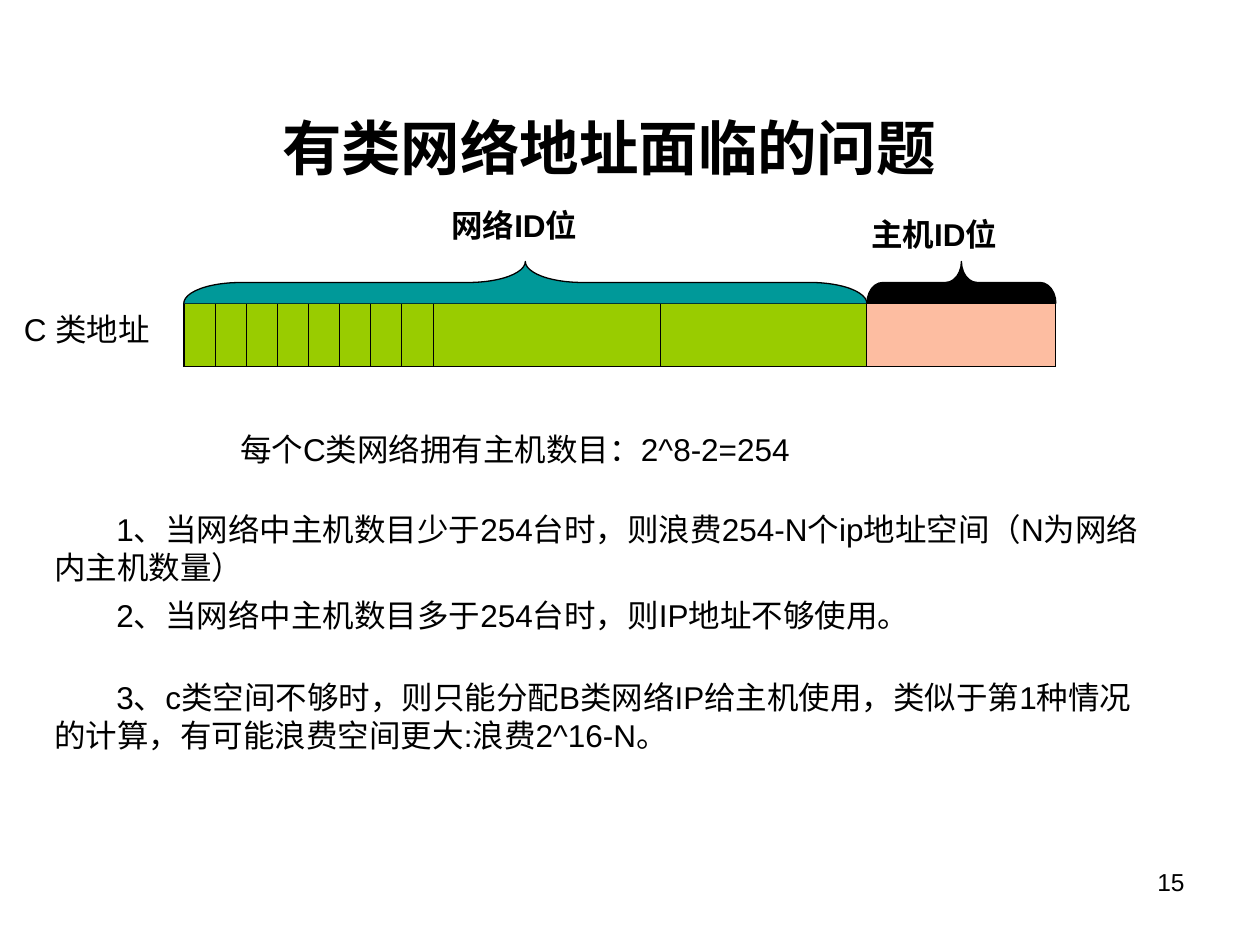
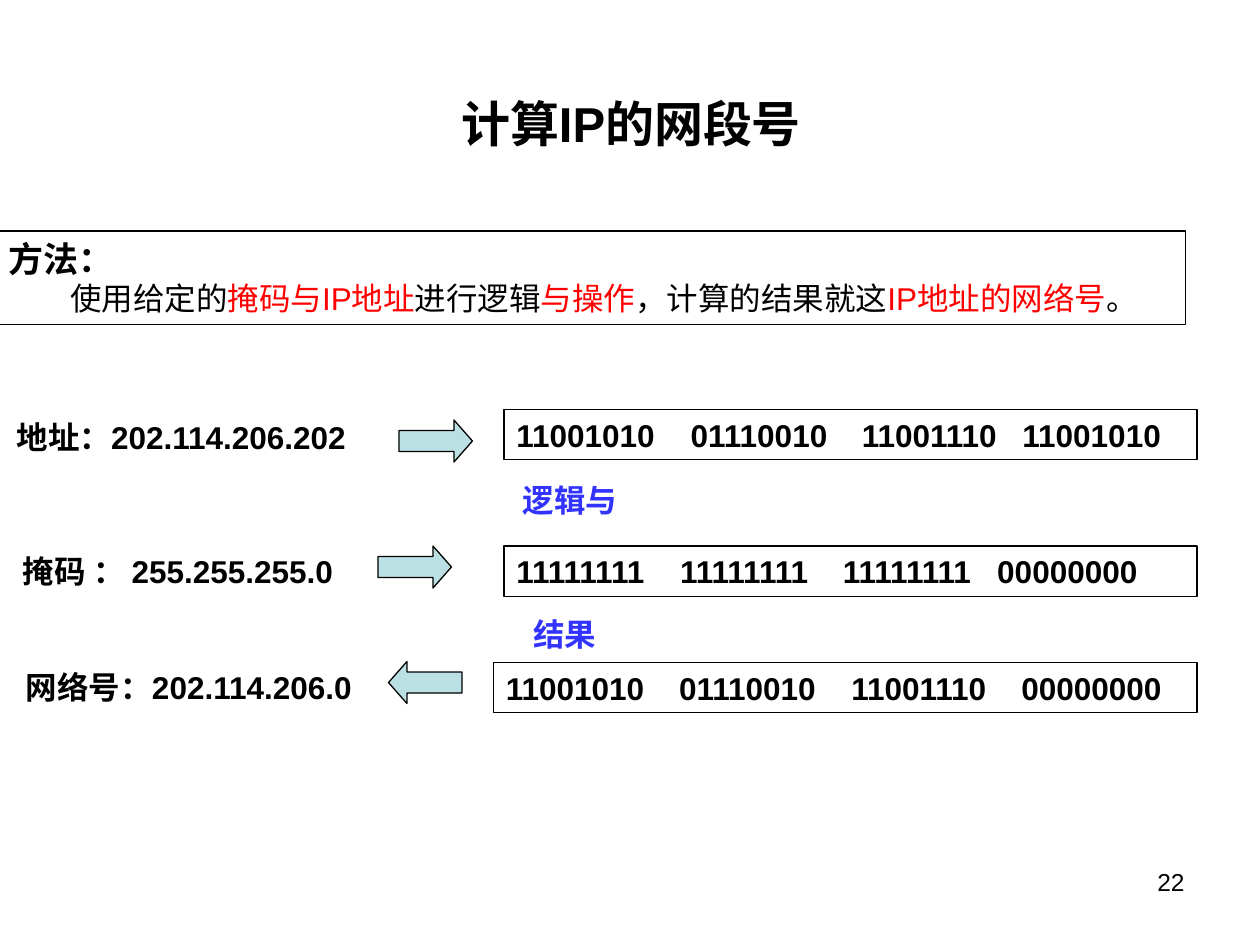
from lxml.etree import SubElement
from pptx import Presentation
from pptx.dml.color import RGBColor
from pptx.enum.shapes import MSO_SHAPE
from pptx.enum.text import MSO_ANCHOR, PP_ALIGN
from pptx.oxml import parse_xml
from pptx.oxml.ns import nsdecls, qn
from pptx.util import Inches, Pt

COLOURS = {
    "ink": "000000", "alert": "FF0000", "operation": "3333FF",
    "network": "99CC00", "host": "FDBDA1", "network brace": "009999",
    "arrow": "BBE0E3",
}
FONT = "Arial"
COLUMNS, ROWS = 120, 90
WIDTH, HEIGHT = Inches(10), Inches(7.5)
BODY_INDENT = 5.9


def across(columns):
    return round(WIDTH * columns / COLUMNS)


def down(rows):
    return round(HEIGHT * rows / ROWS)


def area(left, top, width, height):
    return across(left), down(top), across(width), down(height)


def colour(name):
    return RGBColor.from_string(COLOURS[name])


class Deck:
    """Holds the style and the current slide; places are in grid columns and rows."""

    def __init__(self):
        self.presentation = Presentation()
        self.presentation.slide_width = WIDTH
        self.presentation.slide_height = HEIGHT
        self.slide = None

    def new_slide(self, title, title_place, title_size, number):
        self.slide = self.presentation.slides.add_slide(self.presentation.slide_layouts[6])
        self.text(title_place, title, size=title_size, bold=True,
                  align=PP_ALIGN.CENTER, anchor=MSO_ANCHOR.MIDDLE)
        self.text((86, 82, 28, 6.2), number, size=14, align=PP_ALIGN.RIGHT)

    def text(self, place, words, ink="ink", wrap=True, anchor=MSO_ANCHOR.TOP,
             framed=False, **style):
        """Place a text block, with a thin frame if wanted, and fill its first paragraph."""
        if framed:
            block = self.shape(MSO_SHAPE.RECTANGLE, place)
        else:
            block = self.slide.shapes.add_textbox(*area(*place))
        frame = block.text_frame
        frame.word_wrap = wrap
        frame.vertical_anchor = anchor
        self.add_runs(frame.paragraphs[0], [(words, ink)], **style)
        return frame

    def add_runs(self, paragraph, runs, size=18, bold=False, align=PP_ALIGN.LEFT,
                 indent=0, stops=()):
        paragraph.alignment = align
        properties = paragraph._p.get_or_add_pPr()
        if indent:
            properties.set("indent", str(across(indent)))
        if stops:
            tabs = SubElement(properties, qn("a:tabLst"))
            for stop in stops:
                SubElement(tabs, qn("a:tab"), pos=str(across(stop)), algn="l")
        for words, ink in runs:
            run = paragraph.add_run()
            run.text = words
            run.font.name = FONT
            run.font.size = Pt(size)
            run.font.bold = bold
            run.font.color.rgb = colour(ink)

    def shape(self, kind, place, fill=None, rotation=0, adjustments=()):
        drawn = self.slide.shapes.add_shape(kind, *area(*place))
        drawn.shadow.inherit = False
        drawn.rotation = rotation
        for position, value in enumerate(adjustments):
            drawn.adjustments[position] = value
        if fill:
            drawn.fill.solid()
            drawn.fill.fore_color.rgb = colour(fill)
        else:
            drawn.fill.background()
        drawn.line.color.rgb = colour("ink")
        drawn.line.width = Pt(0.75)
        return drawn

    def brace_above(self, left, bottom, width, height, fill, radius):
        """Turn a left brace so that it spans the given width and points up."""
        middle, centre = left + width / 2, bottom - height / 2
        self.shape(MSO_SHAPE.LEFT_BRACE,
                   (middle - height / 2, centre - width / 2, height, width),
                   fill, rotation=90, adjustments=(radius / height, 0.5))

    def bit_row(self, left, top, height, fields):
        """Draw one table row from (width, colour) fields."""
        total = sum(width for width, _ in fields)
        table = self.slide.shapes.add_table(
            1, len(fields), *area(left, top, total, height)).table
        table.first_row = table.horz_banding = False
        last = len(fields) - 1
        for index, (width, fill) in enumerate(fields):
            table.columns[index].width = across(width)
            cell = table.cell(0, index)
            cell.fill.solid()
            cell.fill.fore_color.rgb = colour(fill)
            borders = (("lnL", 1.08 if index == 0 else 0.45),
                       ("lnR", 1.08 if index == last else 0.45),
                       ("lnT", 1.08), ("lnB", 1.08))
            for position, (side, points) in enumerate(borders):
                cell._tc.get_or_add_tcPr().insert(position, parse_xml(
                    f'<a:{side} {nsdecls("a")} w="{Pt(points)}"><a:solidFill>'
                    f'<a:srgbClr val="{COLOURS["ink"]}"/></a:solidFill></a:{side}>'))


def class_problem_slide(deck):
    deck.new_slide("有类网络地址面临的问题", (4, 10, 108, 8), 34, "15")

    left, top = 17.5, 28.9
    network = [2.97] * 8 + [21.7, 19.6]
    network_width, host_width = sum(network), 18
    deck.bit_row(left, top, 6, [(width, "network") for width in network]
                 + [(host_width, "host")])
    deck.brace_above(left, top, network_width, 4, "network brace", 5.4)
    deck.brace_above(left + network_width, top, host_width, 4, "ink", 1.5)

    for place, words, bold in (
        ((41.8, 19, 15.8, 4.8), "网络ID位", True),
        ((81.8, 19.9, 15.8, 4.8), "主机ID位", True),
        ((1.1, 28.9, 15.1, 4.8), "C 类地址", False),
        ((21.7, 40.4, 56.9, 4.8), "每个C类网络拥有主机数目：2^8-2=254", False),
    ):
        deck.text(place, words, wrap=False, bold=bold)

    for top, height, problem in (
        (48, 8.4, "1、当网络中主机数目少于254台时，则浪费254-N个ip地址空间（N为网络内主机数量）"),
        (56.2, 4.8, "2、当网络中主机数目多于254台时，则IP地址不够使用。"),
        (64, 8.4, "3、c类空间不够时，则只能分配B类网络IP给主机使用，"
                  "类似于第1种情况的计算，有可能浪费空间更大:浪费2^16-N。"),
    ):
        deck.text((4, top, 107, height), problem, indent=BODY_INDENT)


def network_number_slide(deck):
    deck.new_slide("计算IP的网段号", (6.1, 8.2, 108, 7), 28, "22")

    method = deck.text((-0.4, 22, 113.3, 8.9), "方法：", size=20, bold=True, framed=True)
    deck.add_runs(method.add_paragraph(), [
        ("使用给定的", "ink"), ("掩码与IP地址", "alert"), ("进行逻辑", "ink"),
        ("与操作", "alert"), ("，计算的结果就这", "ink"),
        ("IP地址的网络号", "alert"), ("。", "ink"),
    ], indent=BODY_INDENT)

    right = 114
    for label, label_left, label_top, octets, stops, bits_left, bits_top, arrow, turn in (
        ("地址：202.114.206.202", 0.4, 39.2, "11001010 01110010 11001110 11001010",
         (16.6, 32.9, 48.2), 48, 39, (38, 40), 0),
        ("掩码 ： 255.255.255.0", 1, 52, "11111111 11111111 11111111 00000000",
         (15.6, 31.1, 45.8), 48, 52, (36, 52), 0),
        ("网络号：202.114.206.0", 1.3, 63, "11001010 01110010 11001110 00000000",
         (16.5, 32.9, 49.1), 47, 63.1, (37, 63), 180),
    ):
        deck.text((label_left, label_top, 37, 4.8), label, bold=True)
        deck.text((bits_left, bits_top, right - bits_left, 4.8),
                  "\t".join(octets.split()), bold=True, framed=True, stops=stops)
        deck.shape(MSO_SHAPE.RIGHT_ARROW, (*arrow, 7, 4), "arrow", turn, (0.5, 0.44))

    for left, top, step in ((48.6, 45.2, "逻辑与"), (49.6, 58, "结果")):
        deck.text((left, top, 12, 4.8), step, ink="operation", bold=True)


def main():
    deck = Deck()
    class_problem_slide(deck)
    network_number_slide(deck)
    deck.presentation.save("out.pptx")


if __name__ == "__main__":
    main()
